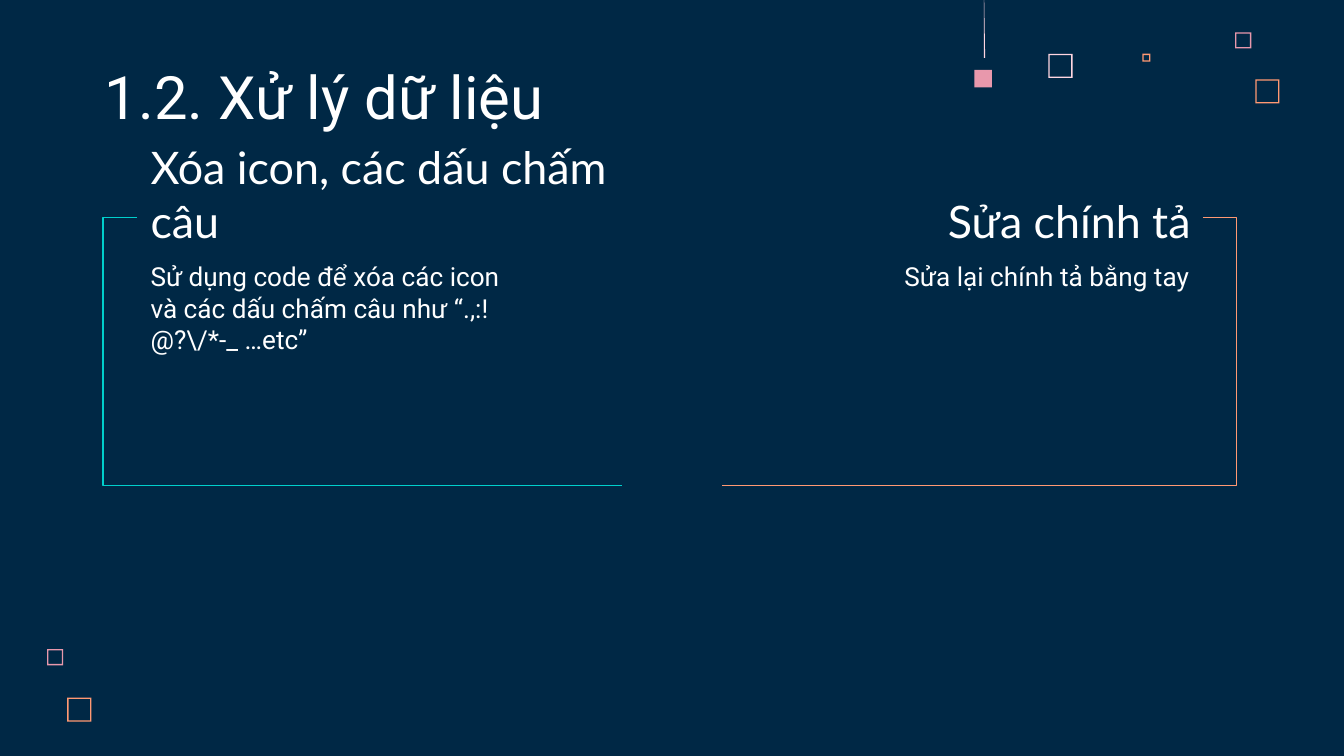
from pptx import Presentation
from pptx import util as u
from pptx.dml.color import RGBColor
from pptx.enum import shapes, text
from pptx.oxml.xmlchemy import OxmlElement

COLORS = {
    "navy": "002845",
    "white": "FFFFFF",
    "blush": "FFD6E1",
    "pink": "E898AC",
    "orange": "FF9973",
    "teal": "00CFCC",
}
FRAMES = [
    (7.8, 0.4, 0.18, "blush"),
    (9.19, 0.24, 0.12, "pink"),
    (8.5, 0.4, 0.06, "orange"),
    (9.34, 0.59, 0.18, "orange"),
    (0.35, 4.83, 0.12, "pink"),
    (0.5, 5.19, 0.18, "orange"),
]
FRAME_WIDTH = 0.01
LEFT, RIGHT = text.PP_ALIGN.LEFT, text.PP_ALIGN.RIGHT
TITLE = {"name": "Roboto", "size": u.Pt(32), "bold": False}
HEADING = {"name": "Lato", "size": u.Pt(24), "bold": False}
BODY = {"name": "Roboto", "size": u.Pt(14), "bold": False}
TEXTS = [
    (0, (0.68, 0.45, 6.73, 0.63), "1.2. Xử lý dữ liệu", TITLE, LEFT),
    (1, (1.02, 1.31, 3.98, 0.63), "Xóa icon, các dấu chấm câu", HEADING, LEFT),
    (2, (1.02, 1.84, 2.87, 1.22),
     "Sử dụng code để xóa các icon và các dấu chấm câu như “.,:!@?\\/*-_ …etc”", BODY, LEFT),
    (3, (6.73, 1.31, 2.23, 0.63), "Sửa chính tả", HEADING, RIGHT),
    (4, (5.96, 1.84, 2.99, 1.22), "Sửa lại chính tả bằng tay", BODY, RIGHT),
]


def rgb(name):
    return RGBColor.from_string(COLORS[name])


def apply(target, values):
    for name, value in values.items():
        setattr(target, name, value)


def paint(shape, color):
    shape.shadow.inherit = False
    shape.fill.solid()
    shape.fill.fore_color.rgb = rgb(color)
    shape.line.fill.background()


def add_square(page, left, top, size, color, kind=shapes.MSO_SHAPE.RECTANGLE):
    square = page.shapes.add_shape(kind, *map(u.Inches, (left, top, size, size)))
    paint(square, color)
    return square


def add_frame(page, left, top, size, color):
    frame = add_square(page, left, top, size, color, shapes.MSO_SHAPE.FRAME)
    frame.adjustments[0] = FRAME_WIDTH / size


def add_thread(page):
    points = [(7.32, -0.18), (7.32, 0.43), (7.33, 0.43)]
    start, *rest = [tuple(map(u.Inches, point)) for point in points]
    builder = page.shapes.build_freeform(*start)
    builder.add_line_segments(rest, close=True)
    paint(builder.convert_to_shape(), "blush")


def fill_placeholder(page, index, place, words, font, align):
    box = page.placeholders[index]
    apply(box, dict(zip(("left", "top", "width", "height"), map(u.Inches, place))))
    frame = box.text_frame
    inset = u.Inches(0.1)
    apply(frame, {
        "text": words,
        "word_wrap": True,
        "auto_size": text.MSO_AUTO_SIZE.NONE,
        "vertical_anchor": text.MSO_ANCHOR.TOP if font is BODY else text.MSO_ANCHOR.BOTTOM,
        "margin_left": inset,
        "margin_right": inset,
        "margin_top": inset,
        "margin_bottom": inset,
    })
    para = frame.paragraphs[0]
    apply(para, {"alignment": align, "space_before": u.Pt(0), "line_spacing": 1.0})
    properties = para._p.get_or_add_pPr()
    properties.set("marL", "0")
    properties.set("indent", "0")
    properties.append(OxmlElement("a:buNone"))
    span = para.runs[0]
    apply(span.font, font)
    span.font.color.rgb = rgb("white")


def add_bracket(page, start_x, end_x, bend, color):
    ends = map(u.Inches, (start_x, 1.62, end_x, 3.61))
    bracket = page.shapes.add_connector(shapes.MSO_CONNECTOR.ELBOW, *ends)
    bracket.line.width = u.Pt(0.75)
    bracket.line.color.rgb = rgb(color)
    properties = bracket._element.spPr
    guide = OxmlElement("a:gd")
    guide.set("name", "adj1")
    guide.set("fmla", f"val {round(bend * 100000)}")
    properties.prstGeom.get_or_add_avLst().append(guide)
    properties.append(OxmlElement("a:effectLst"))


def main():
    deck = Presentation()
    width = u.Inches(10)
    apply(deck, {"slide_width": width, "slide_height": width * 9 // 16})
    page = deck.slides.add_slide(deck.slide_layouts.get_by_name("Comparison"))
    page.background.fill.solid()
    page.background.fill.fore_color.rgb = rgb("navy")
    for frame in FRAMES:
        add_frame(page, *frame)
    add_square(page, 7.25, 0.52, 0.13, "pink")
    add_thread(page)
    for item in TEXTS:
        fill_placeholder(page, *item)
    add_bracket(page, 1.02, 4.63, -0.07, "teal")
    add_bracket(page, 8.95, 5.37, -0.07, "orange")
    deck.save("out.pptx")


if __name__ == "__main__":
    main()
